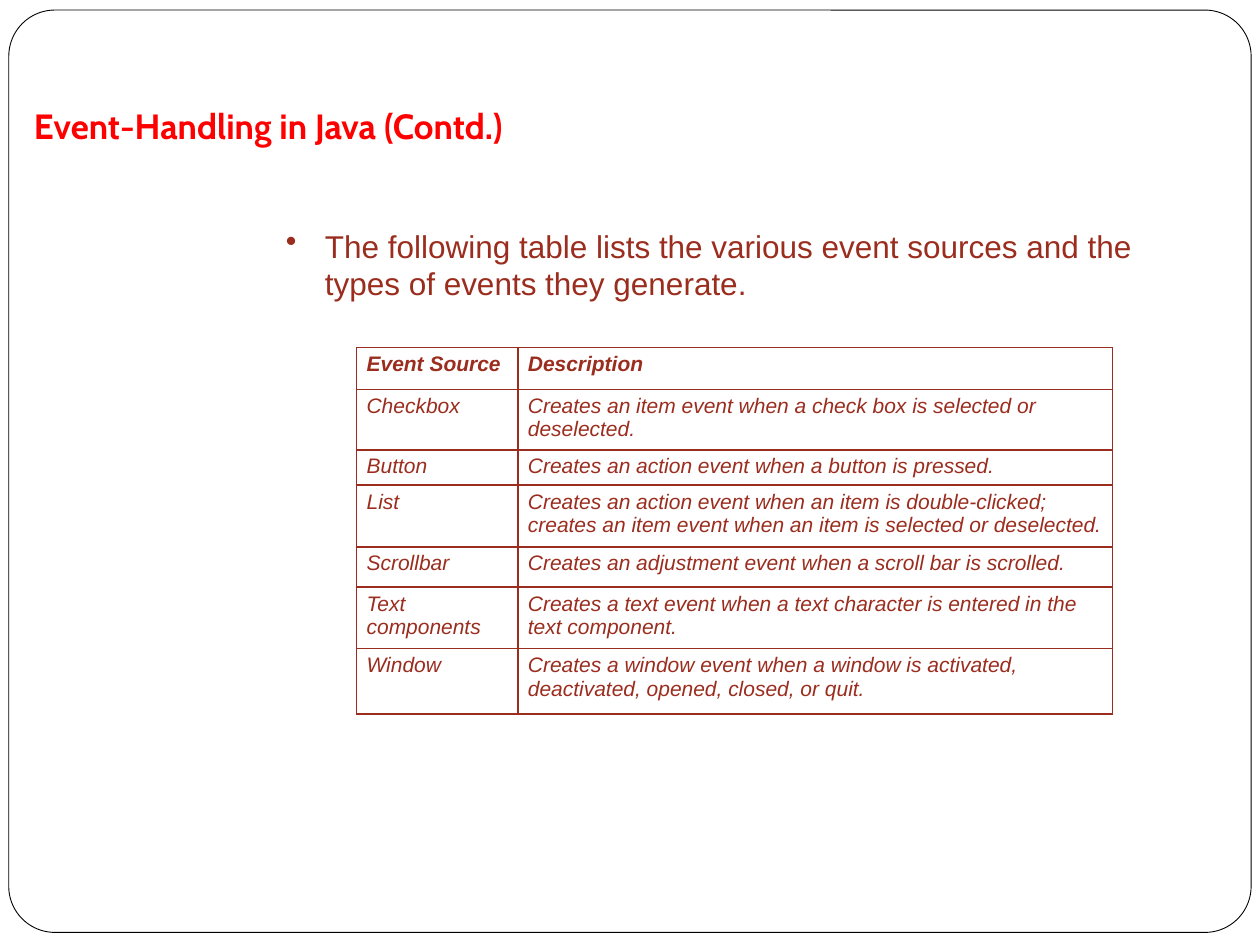
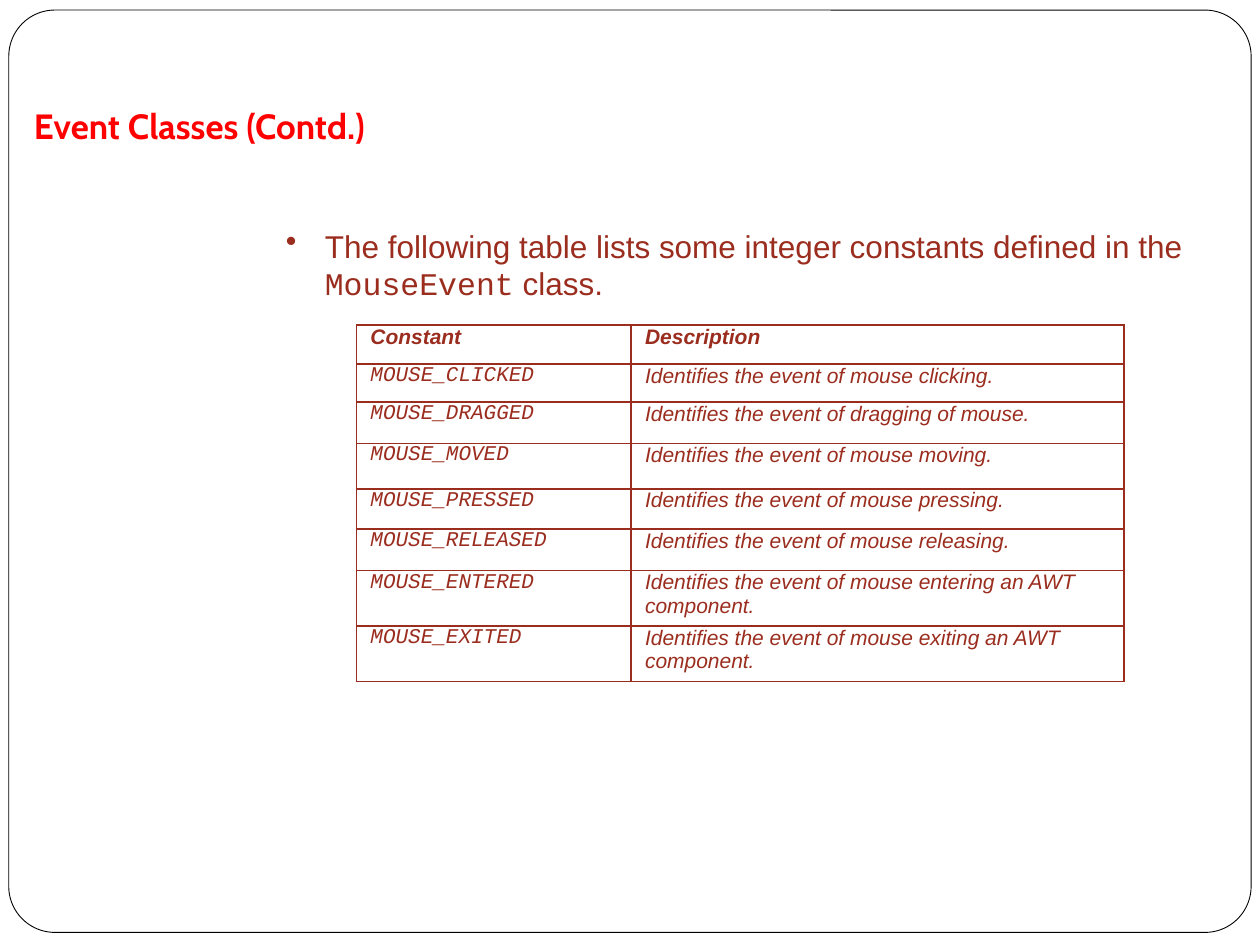
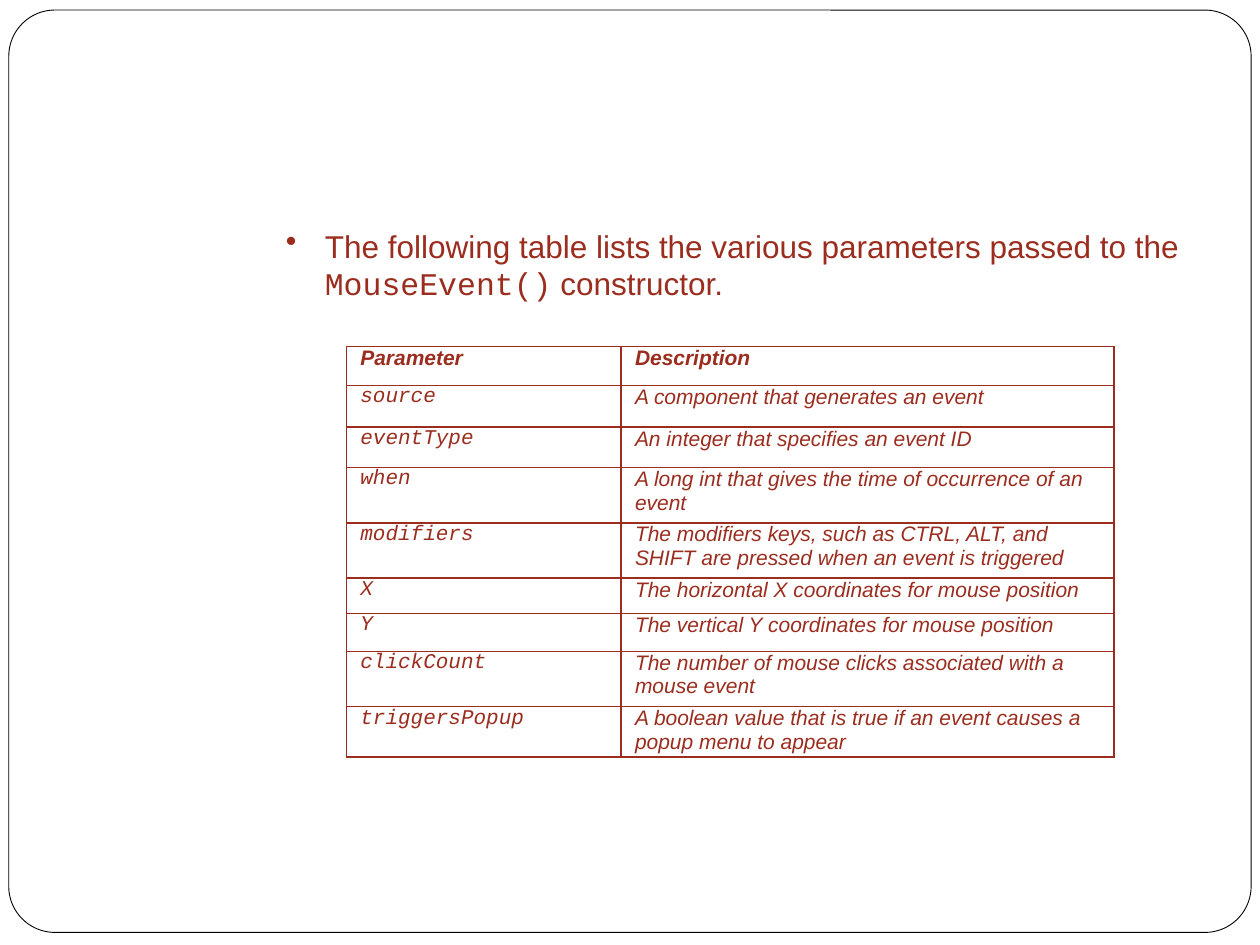
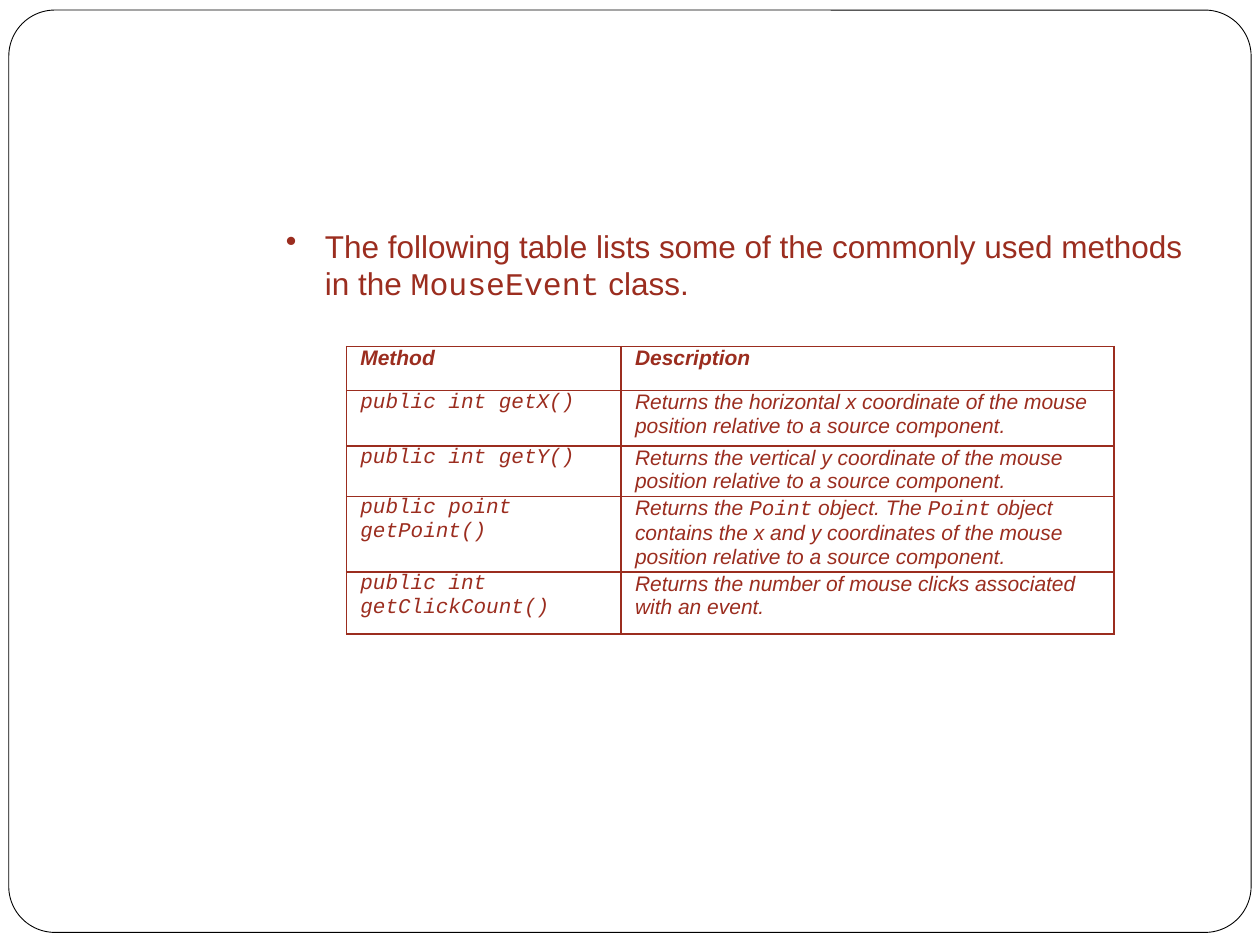
import pptx
import pptx.dml.color
import pptx.enum.shapes
import pptx.enum.text
import pptx.oxml
import pptx.oxml.ns
import pptx.util
import lxml.etree

Inches = pptx.util.Inches
Pt = pptx.util.Pt


def color(hex_string):
    return pptx.dml.color.RGBColor.from_string(hex_string)


class Deck:
    """Holds the shared style and the slide being filled."""

    BROWN = "9B2D1F"
    RED = "FF0000"
    BLACK = "000000"
    WHITE = "FFFFFF"
    BODY_FONT = "Arial"
    CODE_FONT = "Courier New"
    TITLE_FONT = "Cabin"

    def __init__(self):
        self.presentation = pptx.Presentation()
        self.presentation.slide_width = Inches(10)
        self.presentation.slide_height = Inches(7.5)
        self.slide = None

    def add_slide(self):
        layout = self.presentation.slide_layouts[6]
        self.slide = self.presentation.slides.add_slide(layout)
        self.add_frame()

    def add_frame(self):
        frame = self.slide.shapes.add_shape(
            pptx.enum.shapes.MSO_SHAPE.ROUNDED_RECTANGLE,
            Inches(0.07), Inches(0.08), Inches(9.86), Inches(7.32))
        frame.adjustments[0] = 0.05
        frame.shadow.inherit = False
        frame.fill.solid()
        frame.fill.fore_color.rgb = color(self.WHITE)
        frame.line.color.rgb = color(self.BLACK)
        frame.line.width = Pt(0.5)

    def add_run(self, paragraph, text, font, size, hex_string, bold=False, italic=False):
        run = paragraph.add_run()
        run.text = text
        run.font.name = font
        run.font.size = Pt(size)
        run.font.bold = bold
        run.font.italic = italic
        run.font.color.rgb = color(hex_string)

    def add_mixed_runs(self, paragraph, text, size, bold=False, italic=False):
        """Text between backticks is set in the code font."""
        for index, part in enumerate(text.split("`")):
            if part:
                font = self.CODE_FONT if index % 2 else self.BODY_FONT
                self.add_run(paragraph, part, font, size, self.BROWN, bold, italic)

    def set_indent(self, paragraph, margin, first_line):
        properties = paragraph._p.get_or_add_pPr()
        properties.set("marL", str(Inches(margin)))
        properties.set("indent", str(Inches(first_line)))
        return properties

    def add_text_box(self, left, top, width, height):
        box = self.slide.shapes.add_textbox(
            Inches(left), Inches(top), Inches(width), Inches(height))
        box.text_frame.word_wrap = True
        return box.text_frame

    def add_title(self, text):
        frame = self.add_text_box(0.17, 0.78, 7.5, 0.43)
        frame.auto_size = pptx.enum.text.MSO_AUTO_SIZE.SHAPE_TO_FIT_TEXT
        paragraph = frame.paragraphs[0]
        paragraph.space_before = Pt(10)
        self.add_run(paragraph, text, self.TITLE_FONT, 20, self.RED, bold=True)

    def add_bullet(self, text):
        paragraph = self.add_text_box(1.67, 1.75, 8, 5).paragraphs[0]
        paragraph.level = 1
        paragraph.space_before = Pt(3.6)
        properties = self.set_indent(paragraph, 0.81, -0.31)
        bullet = lxml.etree.SubElement(properties, pptx.oxml.ns.qn("a:buChar"))
        bullet.set("char", "•")
        self.add_mixed_runs(paragraph, text, 18)

    def add_borders(self, cell):
        properties = cell._tc.get_or_add_tcPr()
        for side in ("lnL", "lnR", "lnT", "lnB"):
            properties.append(pptx.oxml.parse_xml(
                f'<a:{side} {pptx.oxml.ns.nsdecls("a")} w="{Pt(1)}"><a:solidFill>'
                f'<a:srgbClr val="{self.BROWN}"/></a:solidFill></a:{side}>'))

    def add_table(self, left, top, column_widths, row_heights, rows, margins, space_after):
        table = self.slide.shapes.add_table(
            len(rows), len(column_widths), Inches(left), Inches(top),
            Inches(sum(column_widths)), Inches(sum(row_heights))).table
        table.first_row = False
        table.horz_banding = False
        for column, width in zip(table.columns, column_widths):
            column.width = Inches(width)
        for row_index, (texts, height) in enumerate(zip(rows, row_heights)):
            table.rows[row_index].height = Inches(height)
            for column_index, text in enumerate(texts):
                cell = table.cell(row_index, column_index)
                cell.margin_left = cell.margin_right = Inches(margins[0])
                cell.margin_top = cell.margin_bottom = Inches(margins[1])
                self.add_borders(cell)
                cell.fill.background()
                paragraph = cell.text_frame.paragraphs[0]
                self.set_indent(paragraph, 0.04, 0)
                paragraph.space_before = Pt(6)
                paragraph.space_after = Pt(space_after)
                self.add_mixed_runs(paragraph, text, 12, bold=row_index == 0, italic=True)

    def add_code_table(self, left, top, row_heights, header, entries):
        """Table whose first column holds code names."""
        rows = [header] + [(f"`{name}`", description) for name, description in entries]
        self.add_table(left, top, [2.18, 3.91], row_heights, rows, (0.07, 0), 7)


def main():
    deck = Deck()

    # Event sources
    deck.add_slide()
    deck.add_bullet("The following table lists the various event sources and the types of events they generate.")
    deck.add_title("Event-Handling in Java (Contd.)")
    deck.add_table(2.83, 2.76, [1.28, 4.72], [0.33, 0.48, 0.28, 0.49, 0.32, 0.49, 0.52], [
        ("Event Source", "Description"),
        ("Checkbox", "Creates an item event when a check box is selected or deselected."),
        ("Button", "Creates an action event when a button is pressed."),
        ("List", "Creates an action event when an item is double-clicked; "
                 "creates an item event when an item is selected or deselected."),
        ("Scrollbar", "Creates an adjustment event when a scroll bar is scrolled."),
        ("Text components", "Creates a text event when a text character is entered in the text component."),
        ("Window", "Creates a window event when a window is activated, deactivated, opened, closed, or quit."),
    ], (0.04, 0.04), 4)

    # MouseEvent constants
    deck.add_slide()
    deck.add_bullet("The following table lists some integer constants defined in the `MouseEvent` class.")
    deck.add_title("Event Classes (Contd.)")
    mouse_actions = [
        ("CLICKED", "mouse clicking"),
        ("DRAGGED", "dragging of mouse"),
        ("MOVED", "mouse moving"),
        ("PRESSED", "mouse pressing"),
        ("RELEASED", "mouse releasing"),
        ("ENTERED", "mouse entering an AWT component"),
        ("EXITED", "mouse exiting an AWT component"),
    ]
    deck.add_code_table(
        2.83, 2.58, [0.31, 0.3, 0.33, 0.36, 0.32, 0.33, 0.44, 0.44], ("Constant", "Description"),
        [(f"MOUSE_{name}", f"Identifies the event of {action}.") for name, action in mouse_actions])

    # MouseEvent constructor parameters
    deck.add_slide()
    deck.add_bullet("The following table lists the various parameters passed to the `MouseEvent()` constructor.")
    deck.add_code_table(
        2.75, 2.75, [0.31, 0.33, 0.32, 0.44, 0.44, 0.28, 0.3, 0.44, 0.4], ("Parameter", "Description"), [
            ("source", "A component that generates an event"),
            ("eventType", "An integer that specifies an event ID"),
            ("when", "A long int that gives the time of occurrence of an event"),
            ("modifiers", "The modifiers keys, such as CTRL, ALT, and SHIFT are pressed when an event is triggered"),
            ("X", "The horizontal X coordinates for mouse position"),
            ("Y", "The vertical Y coordinates for mouse position"),
            ("clickCount", "The number of mouse clicks associated with a mouse event"),
            ("triggersPopup", "A boolean value that is true if an event causes a popup menu to appear"),
        ])

    # MouseEvent methods
    deck.add_slide()
    deck.add_bullet("The following table lists some of the commonly used methods in the `MouseEvent` class.")
    deck.add_code_table(
        2.75, 2.75, [0.35, 0.44, 0.4, 0.6, 0.49], ("Method", "Description"), [
            ("public int getX()",
             "Returns the horizontal x coordinate of the mouse position relative to a source component."),
            ("public int getY()",
             "Returns the vertical y coordinate of the mouse position relative to a source component."),
            ("public point getPoint()",
             "Returns the `Point` object. The `Point` object contains the x and y coordinates "
             "of the mouse position relative to a source component."),
            ("public int getClickCount()",
             "Returns the number of mouse clicks associated with an event."),
        ])

    deck.presentation.save("out.pptx")


if __name__ == "__main__":
    main()
